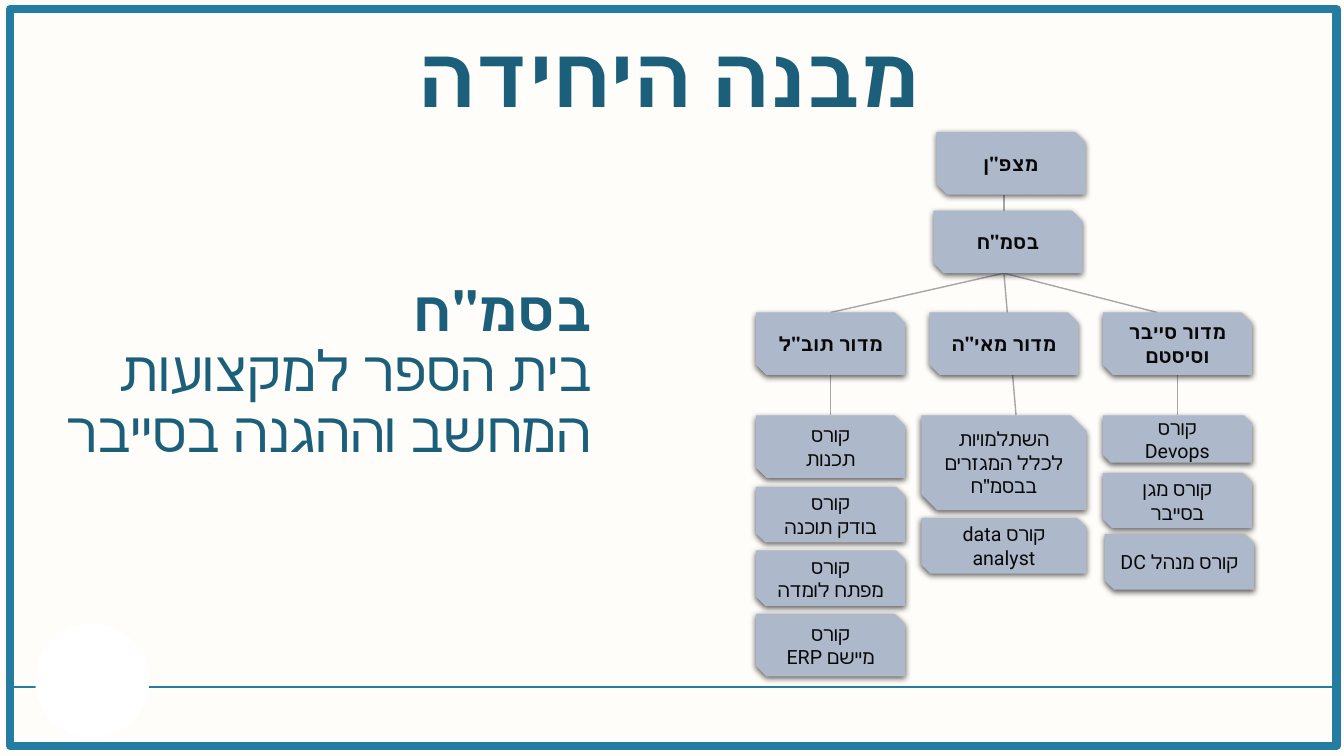
import pptx
import pptx.util
import pptx.dml.color
import pptx.enum.shapes
import pptx.enum.text
import pptx.oxml
import pptx.oxml.ns

HIGH = 7.5
WIDE = HIGH * 16 / 9
FONT = "Roboto"
PAPER, FRAME, INK = "FFFDF9", "247DA0", "1C5F7A"
BOX, TEXT, LINK, WHITE = "ADB9CA", "080808", "A6A6A6", "FFFFFF"

TITLE = "מבנה היחידה"
ABOUT = ("בסמ״ח", "בית הספר למקצועות המחשב וההגנה בסייבר")

# Chart grid: column pitch, box width and heights, row tops
LEFT, PITCH, WIDTH = 7.5, 1.72, 1.48
TALL, MID, LOW = 0.62, 0.55, 0.47
ROOT, SCHOOL, BRANCH, STACK = 1.31, 2.09, 3.1, 4.12

# Heads: lines, column, shift, top
HEADS = [
    (["מצפ״ן"], 1, 0.07, ROOT),
    (["בסמ״ח"], 1, 0.04, SCHOOL),
    (["מדור תוב״ל"], 0, 0, BRANCH),
    (["מדור מאי״ה"], 1, 0, BRANCH),
    (["מדור סייבר וסיסטם"], 2, 0, BRANCH),
]
# Courses under each branch: lines, height, gap above, shift, extra width
COURSES = [
    [(["קורס", "תכנות"], TALL, 0, 0, 0),
     (["קורס", "בודק תוכנה"], MID, 0.09, 0, 0),
     (["קורס", "מפתח לומדה"], MID, 0.08, 0, 0),
     (["קורס", "מיישם ERP"], TALL, 0.08, 0, 0)],
    [(["השתלמויות לכלל המגזרים בבסמ״ח"], 0.94, 0, -0.08, 0.16),
     (["קורס data analyst"], MID, 0.08, -0.08, 0.16)],
    [(["קורס", "Devops"], LOW, 0, 0, 0),
     (["קורס מגן בסייבר"], MID, 0.1, 0, 0),
     (["קורס מנהל DC"], MID, 0.06, 0.02, 0)],
]

inch = pptx.util.Inches
point = pptx.util.Pt
KIND = pptx.enum.shapes.MSO_SHAPE
ALIGN = pptx.enum.text.PP_ALIGN
ANCHOR = pptx.enum.text.MSO_ANCHOR


def paint(hue):
    return pptx.dml.color.RGBColor.from_string(hue)


def node(tag, **attrs):
    item = pptx.oxml.parse_xml(f"<a:{tag} {pptx.oxml.ns.nsdecls('a')}/>")
    for name, value in attrs.items():
        item.set(name, str(value))
    return item


def style(thing, values):
    for name, value in values.items():
        setattr(thing, name, value)


def write(run, size, hue, bold):
    style(run.font, {"size": point(size), "name": FONT, "bold": bold})
    run.font.color.rgb = paint(hue)
    run.font._element.append(node("cs", typeface=FONT))


def align(para, side, values=None):
    """Set a right-to-left paragraph and its spacing."""
    style(para, {"alignment": side, **(values or {})})
    para._p.get_or_add_pPr().set("rtl", "1")


def shape(slide, kind, place, fill=None, line=None):
    item = slide.shapes.add_shape(kind, *map(inch, place))
    item.shadow.inherit = False
    if fill:
        item.fill.solid()
        item.fill.fore_color.rgb = paint(fill)
    else:
        item.fill.background()
    if line:
        item.line.color.rgb = paint(line[0])
        item.line.width = point(line[1])
    else:
        item.line.fill.background()
    return item


def link(slide, start, end, hue=LINK, width=1):
    item = slide.shapes.add_connector(
        pptx.enum.shapes.MSO_CONNECTOR.STRAIGHT, *map(inch, start + end))
    item.line.color.rgb = paint(hue)
    item.line.width = point(width)
    item.element.spPr.append(node("effectLst"))


def card(slide, lines, place, bold):
    item = shape(slide, KIND.SNIP_2_DIAG_RECTANGLE, place, BOX)
    shade = node("outerShdw", blurRad=point(4.5), dist=point(1.5),
                 dir=90 * 60000, algn="t", rotWithShape=0)
    black = node("srgbClr", val="000000")
    black.append(node("alpha", val=63000))
    shade.append(black)
    item.element.spPr.find(pptx.oxml.ns.qn("a:effectLst")).append(shade)
    frame = item.text_frame
    style(frame, {"word_wrap": True, "vertical_anchor": ANCHOR.MIDDLE})
    for step, line in enumerate(lines):
        para = frame.add_paragraph() if step else frame.paragraphs[0]
        align(para, ALIGN.CENTER)
        run = para.add_run()
        run.text = line
        write(run, 14, TEXT, bold)


def prose(slide, lines, place, size, side):
    """Add a text box whose first line is bold."""
    frame = slide.shapes.add_textbox(*map(inch, place)).text_frame
    style(frame, {"word_wrap": True, "vertical_anchor": ANCHOR.TOP})
    para = frame.paragraphs[0]
    align(para, side, {"line_spacing": 0.9, "space_before": point(10)})
    for step, line in enumerate(lines):
        if step:
            para.add_line_break()
        run = para.add_run()
        run.text = line
        write(run, size, INK, step == 0)


def column(index):
    return LEFT + index * PITCH


def centre(index):
    return column(index) + WIDTH / 2


def chart(slide):
    hub = (centre(1), SCHOOL + TALL)
    foot = BRANCH + TALL
    link(slide, (hub[0], ROOT + TALL), (hub[0], SCHOOL))
    link(slide, hub, (centre(0), BRANCH))
    link(slide, hub, (centre(1) + 0.12, STACK))
    link(slide, hub, (centre(2) - 0.2, BRANCH))
    for index in (0, 2):
        link(slide, (centre(index), foot), (centre(index), STACK))

    for lines, index, shift, top in HEADS:
        card(slide, lines, (column(index) + shift, top, WIDTH, TALL), True)
    for index, stack in enumerate(COURSES):
        top = STACK
        for lines, tall, gap, shift, extra in stack:
            top += gap
            place = (column(index) + shift, top, WIDTH + extra, tall)
            card(slide, lines, place, False)
            top += tall


def main():
    deck = pptx.Presentation()
    style(deck, {"slide_width": inch(WIDE), "slide_height": inch(HIGH)})
    slide = deck.slides.add_slide(deck.slide_layouts[6])
    slide.background.fill.solid()
    slide.background.fill.fore_color.rgb = paint(PAPER)

    shape(slide, KIND.RECTANGLE, (0.1, 0.09, 13.16, 7.31), line=(FRAME, 6))
    link(slide, (0.1, 6.82), (13.24, 6.82), FRAME, 1.5)
    shape(slide, KIND.OVAL, (0.35, 6.19, 1.13, 1.13), WHITE)
    prose(slide, [TITLE], (0.89, 0.3, 11.5, 1.25), 60, ALIGN.CENTER)
    chart(slide)
    prose(slide, ABOUT, (0.21, 2.76, 5.76, 1.43), 40, ALIGN.RIGHT)
    deck.save("out.pptx")


if __name__ == "__main__":
    main()
